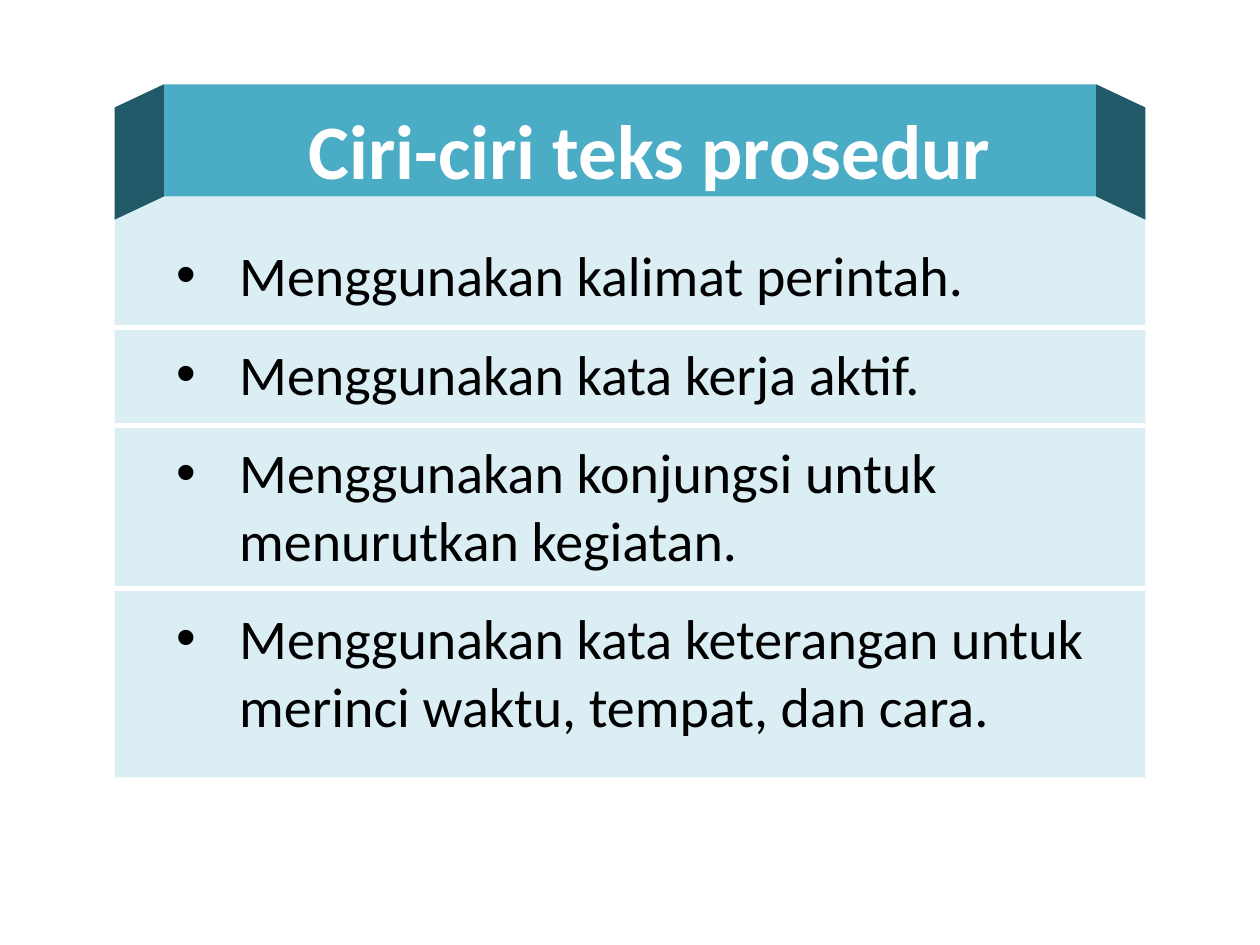
from lxml.etree import SubElement
from pptx import Presentation
from pptx.dml.color import RGBColor
from pptx.enum.shapes import MSO_CONNECTOR as Connector, MSO_SHAPE as Shape
from pptx.enum.text import MSO_ANCHOR as Anchor, MSO_AUTO_SIZE as AutoSize, PP_ALIGN as Align
from pptx.oxml.ns import qn
from pptx.util import Inches, Pt


def paint(shape, color):
    shape.shadow.inherit = False
    shape.fill.solid()
    shape.fill.fore_color.rgb = RGBColor.from_string(color)
    shape.line.fill.background()


def style(para, size, color, bold=False):
    para.font.name = "Calibri"
    para.font.size = Pt(size)
    para.font.bold = bold
    para.font.color.rgb = RGBColor.from_string(color)


deck = Presentation()
deck.slide_width, deck.slide_height = Inches(10), Inches(7.5)
col, row = deck.slide_width / 100, deck.slide_height / 100
page = deck.slides.add_slide(deck.slide_layouts[5])

left, right = 9.1, 90.9
banner_left, banner_right = 13, 87
banner_top, banner_bottom = 8.93, 20.8
fold_drop = 2.45
panel_bottom = 82.27

for x1, x2, y1, y2, color in [
    (left, right, banner_bottom, panel_bottom, "DBEEF4"),
    (banner_left, banner_right, banner_top, banner_bottom, "4BACC6"),
]:
    block = page.shapes.add_shape(
        Shape.RECTANGLE, int(x1 * col), int(y1 * row), int((x2 - x1) * col), int((y2 - y1) * row)
    )
    paint(block, color)

for outer, inner in [(left, banner_left), (right, banner_right)]:
    corners = [
        (outer, banner_bottom + fold_drop),
        (inner, banner_bottom),
        (inner, banner_top),
        (outer, banner_top + fold_drop),
    ]
    points = [(int(x * col), int(y * row)) for x, y in corners]
    builder = page.shapes.build_freeform(*points[0])
    builder.add_line_segments(points[1:], close=True)
    fold = builder.convert_to_shape()
    paint(fold, "215968")

title = page.shapes.title
title.left, title.top = int(23.3 * col), int(10.13 * row)
title.width, title.height = int(56.6 * col), int(11.2 * row)
title.text_frame.text = "Ciri-ciri teks prosedur"
title.text_frame.word_wrap = False
title.text_frame.auto_size = AutoSize.SHAPE_TO_FIT_TEXT
title.text_frame.vertical_anchor = Anchor.TOP
title.text_frame.paragraphs[0].alignment = Align.CENTER
style(title.text_frame.paragraphs[0], 44, "FFFFFF", bold=True)
fold.element.addnext(title.element)

for y in (34.67, 45.07, 62.27):
    divider = page.shapes.add_connector(
        Connector.STRAIGHT, int(left * col), int(y * row), int(right * col), int(y * row)
    )
    divider.line.color.rgb = RGBColor.from_string("FFFFFF")
    divider.line.width = Pt(3)
    SubElement(divider.element.spPr, qn("a:effectLst"))

box = page.shapes.add_textbox(int(banner_left * col), int(24.8 * row), int(75.5 * col), int(54.53 * row))
box.text_frame.word_wrap = True
box.text_frame.auto_size = AutoSize.SHAPE_TO_FIT_TEXT
box.text_frame.text = "\n".join([
    "Menggunakan kalimat perintah.",
    "Menggunakan kata kerja aktif.",
    "Menggunakan konjungsi untuk menurutkan kegiatan.",
    "Menggunakan kata keterangan untuk merinci waktu, tempat, dan cara.",
])
for para in box.text_frame.paragraphs:
    style(para, 32, "000000")
    para.space_before = Pt(18)
    layout = para._p.get_or_add_pPr()
    layout.set("marL", str(Inches(0.5)))
    layout.set("indent", str(-Inches(0.5)))
    bullet_font = SubElement(layout, qn("a:buFont"), typeface="Arial")
    bullet = SubElement(layout, qn("a:buChar"), char="•")
    layout.find(qn("a:defRPr")).addprevious(bullet_font)
    bullet_font.addnext(bullet)

deck.save("out.pptx")
